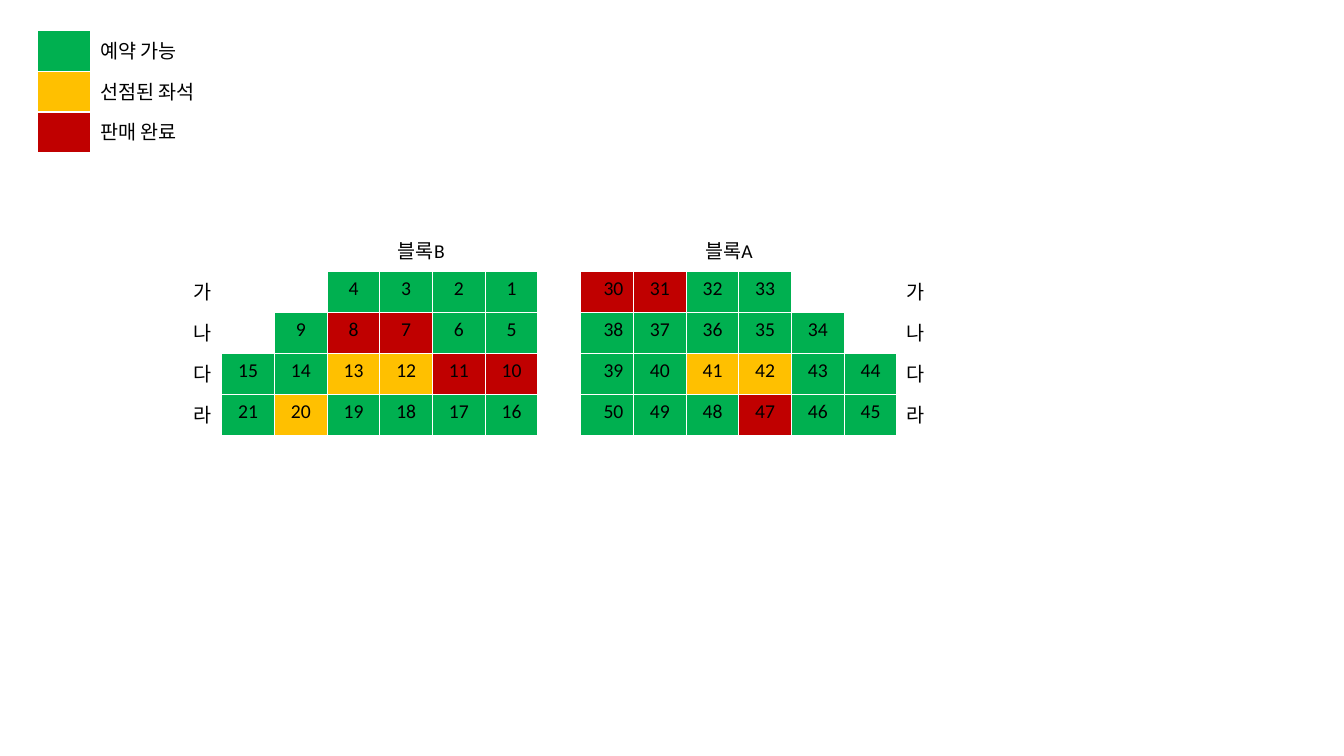
from typing import NamedTuple

from lxml.etree import SubElement
from pptx import Presentation
from pptx.dml.color import RGBColor
from pptx.enum.text import PP_ALIGN
from pptx.oxml.ns import qn
from pptx.util import Inches, Pt

FREE, HELD, SOLD = "00B050", "FFC000", "C00000"
BLACK, WHITE = "000000", "FFFFFF"
HELD_SEATS = {12, 13, 20, 41, 42}
SOLD_SEATS = {7, 8, 10, 11, 30, 31, 47}
LEFT, CENTER, RIGHT = PP_ALIGN.LEFT, PP_ALIGN.CENTER, PP_ALIGN.RIGHT

prs = Presentation()
prs.slide_width, prs.slide_height = Inches(13.33), Inches(7.5)
COL = prs.slide_width / 25.5
ROW = prs.slide_height / 18.5


class Block(NamedTuple):
    title: str
    left: float
    title_indent: float
    label_align: PP_ALIGN
    first_align: PP_ALIGN
    rows: list[str]


class Status(NamedTuple):
    color: str
    label: str


BLOCKS = [
    Block("블록A", 11.02, 1.36, LEFT, RIGHT, [
        "30 31 32 33 - - 가",
        "38 37 36 35 34 - 나",
        "39 40 41 42 43 44 다",
        "50 49 48 47 46 45 라",
    ]),
    Block("블록B", 3.21, 3.34, RIGHT, RIGHT, [
        "가 - - 4 3 2 1",
        "나 - 9 8 7 6 5",
        "다 15 14 13 12 11 10",
        "라 21 20 19 18 17 16",
    ]),
]
LEGEND = [
    Status(FREE, "예약 가능"),
    Status(HELD, "선점된 좌석"),
    Status(SOLD, "판매 완료"),
]


def rgb(color: str) -> RGBColor:
    return RGBColor.from_string(color)


def add_borders(cell) -> None:
    tc_pr = cell._tc.get_or_add_tcPr()
    for side in ("lnL", "lnR", "lnT", "lnB"):
        ln = SubElement(tc_pr, qn(f"a:{side}"), w=str(Pt(1)))
        SubElement(SubElement(ln, qn("a:solidFill")), qn("a:srgbClr"), val=WHITE)


def add_grid(s, left: float, top: float, widths: list[int], n_rows: int):
    frame = s.shapes.add_table(
        n_rows, len(widths), round(left * COL), round(top * ROW),
        round(sum(widths) * COL), round(n_rows * ROW))
    table = frame.table
    table.first_row = table.horz_banding = False
    for column, width in zip(table.columns, widths):
        column.width = round(width * COL)
    for row in table.rows:
        row.height = round(ROW)
    for cell in table.iter_cells():
        add_borders(cell)
        cell.fill.background()
    return table


def paint(cell, color: str) -> None:
    cell.fill.solid()
    cell.fill.fore_color.rgb = rgb(color)


def write(cell, text: str, align: PP_ALIGN = LEFT) -> None:
    p = cell.text_frame.paragraphs[0]
    p.alignment = align
    r = p.add_run()
    r.text = text
    r.font.name = "Calibri"
    r.font.size = Pt(14)
    r.font.color.rgb = rgb(BLACK)


def seat_color(seat: int) -> str:
    if seat in SOLD_SEATS:
        return SOLD
    return HELD if seat in HELD_SEATS else FREE


def draw_block(s, block: Block) -> None:
    table = add_grid(s, block.left, 5.65, [1] * 7, len(block.rows) + 1)
    title = table.cell(0, 1)
    title.merge(table.cell(0, 6))
    title.margin_left = Inches(0.1) + round((block.title_indent - 0.19) * COL)
    write(title, block.title)
    for i, row in enumerate(block.rows, 1):
        for j, text in enumerate(row.split()):
            cell = table.cell(i, j)
            if text.isdigit():
                paint(cell, seat_color(int(text)))
                write(cell, text, block.first_align if j == 0 else CENTER)
            elif text != "-":
                write(cell, text, block.label_align)


def draw_legend(s, statuses: list[Status]) -> None:
    table = add_grid(s, 0.71, 0.74, [1, 5], len(statuses))
    for i, status in enumerate(statuses):
        paint(table.cell(i, 0), status.color)
        write(table.cell(i, 1), status.label)


s = prs.slides.add_slide(prs.slide_layouts[6])
for block in BLOCKS:
    draw_block(s, block)
draw_legend(s, LEGEND)
prs.save("out.pptx")
